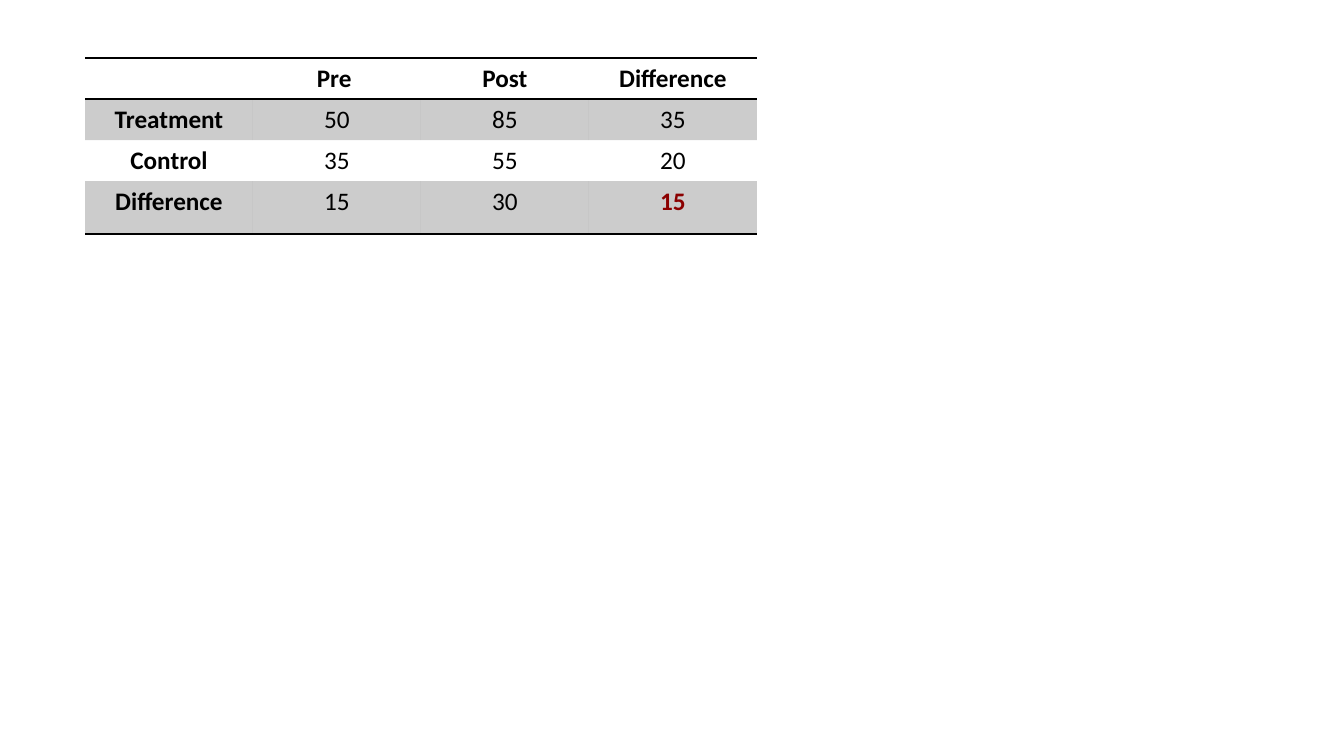
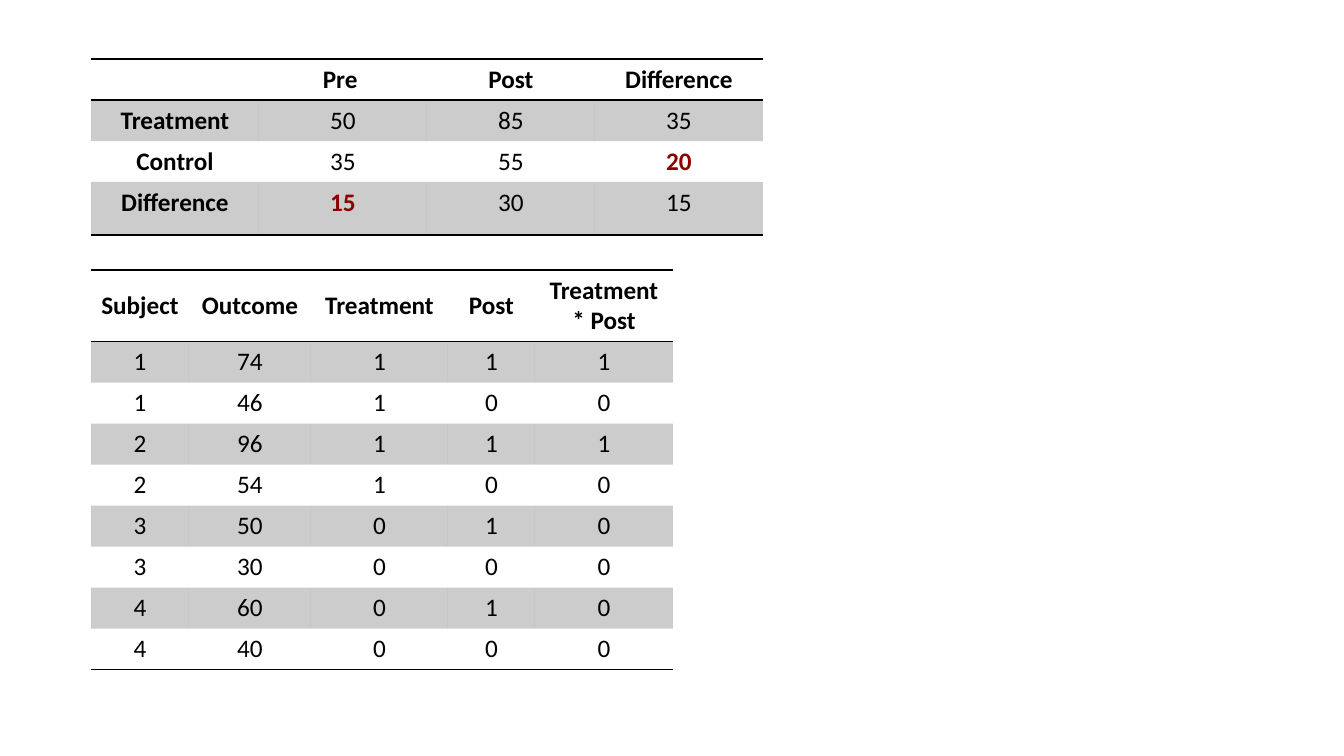
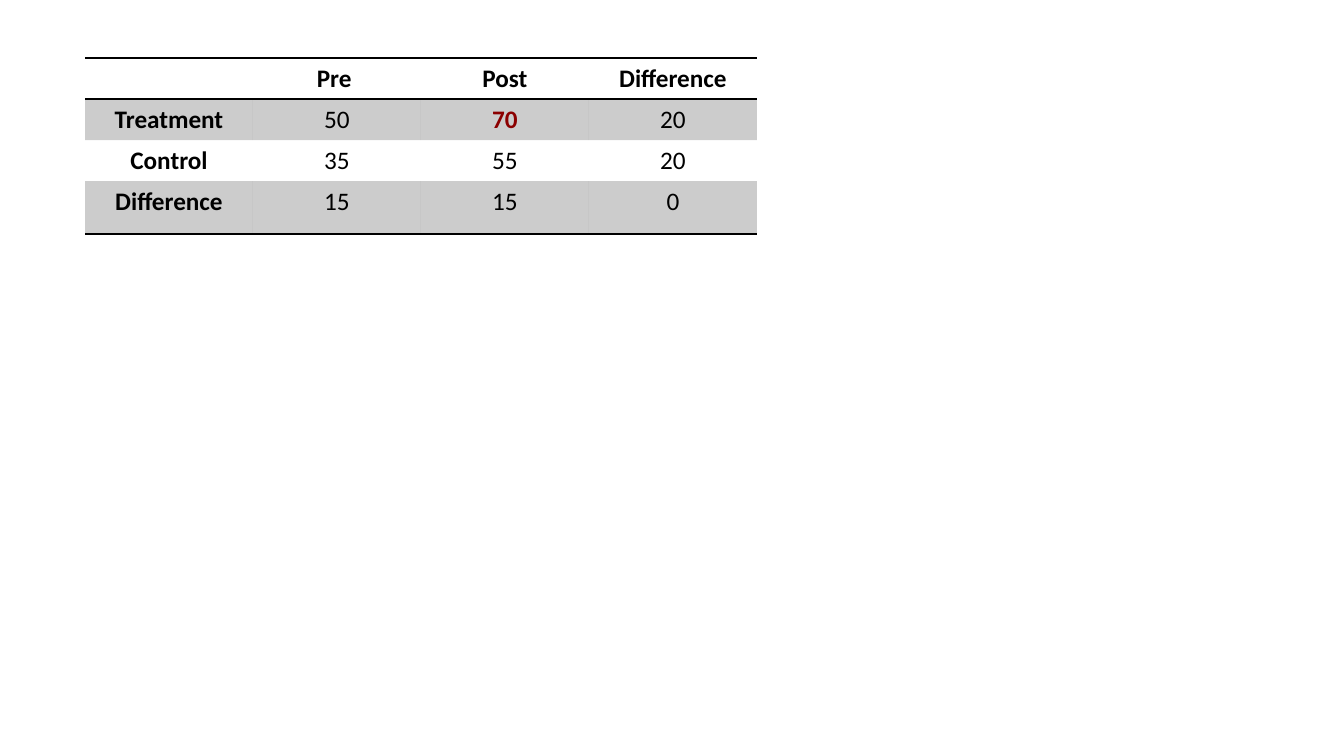
import lxml.etree
import pptx
import pptx.dml.color
import pptx.enum.text
import pptx.oxml.ns
import pptx.util

SCALE = 914400 / 100.8
BLACK, ACCENT = "000000", "8B0000"
BAND_ALPHA = "20000"
NO_GRID_STYLE = "{2D5ABB26-0587-4C30-8999-92F81FD0307C}"
qn = pptx.oxml.ns.qn


def px(n):
    """Turn whole pixels into EMU."""
    return pptx.util.Emu(round(n * SCALE))


def rgb(value):
    """Turn a hex string into a colour."""
    return pptx.dml.color.RGBColor.from_string(value)


FONT = {"name": "Calibri", "size": pptx.util.Pt(18)}
FLAGS = {"first_row": False, "horz_banding": False}

pre_post = {"cols": [168] * 4, "rows": [41, 41, 41, 53], "label_cols": 1,
            "header_anchor": pptx.enum.text.MSO_ANCHOR.TOP}
header = ["", "Pre ", "Post", "Difference"]
control = ["Control", 35, 55, 20]
effect_cells = [header, ["Treatment", 50, 85, 35], control,
                ["Difference", 15, 30, 15]]
no_effect_cells = [header, ["Treatment", 50, 70, 20], control,
                   ["Difference", 15, 15, 0]]

subjects = {
    "at": (91, 270), "cols": [98, 122, 137, 87, 138], "rows": [71] + [41] * 8,
    "label_cols": 0, "header_anchor": pptx.enum.text.MSO_ANCHOR.MIDDLE,
    "accents": [],
    "cells": [
        ["Subject", "Outcome", "Treatment", "Post", "Treatment * Post"],
        [1, 74, 1, 1, 1],
        [1, 46, 1, 0, 0],
        [2, 96, 1, 1, 1],
        [2, 54, 1, 0, 0],
        [3, 50, 0, 1, 0],
        [3, 30, 0, 0, 0],
        [4, 60, 0, 1, 0],
        [4, 40, 0, 0, 0],
    ],
}

# Accents are (row, column) pairs.
slides = [
    [{**pre_post, "at": (85, 58), "cells": effect_cells, "accents": [(3, 3)]}],
    [subjects,
     {**pre_post, "at": (91, 59), "cells": effect_cells,
      "accents": [(2, 3), (3, 1)]}],
    [{**pre_post, "at": (85, 58), "cells": no_effect_cells,
      "accents": [(1, 2)]}],
]

prs = pptx.Presentation()
prs.slide_width, prs.slide_height = px(1344), px(756)

for tables in slides:
    s = prs.slides.add_slide(prs.slide_layouts[6])
    for t in tables:
        cols, rows = t["cols"], t["rows"]
        last = len(rows) - 1
        left, top = t["at"]
        table = s.shapes.add_table(len(rows), len(cols), px(left), px(top),
                                   px(sum(cols)), px(sum(rows))).table
        for name, value in FLAGS.items():
            setattr(table, name, value)
        table._tbl.tblPr.find(qn("a:tableStyleId")).text = NO_GRID_STYLE
        for column, width in zip(table.columns, cols):
            column.width = px(width)
        for row, height in zip(table.rows, rows):
            row.height = px(height)

        for i, values in enumerate(t["cells"]):
            edges = {0: ["a:lnT", "a:lnB"], last: ["a:lnB"]}.get(i, [])
            for j, value in enumerate(values):
                cell = table.cell(i, j)
                if i == 0:
                    cell.vertical_anchor = t["header_anchor"]
                tcPr = cell._tc.get_or_add_tcPr()
                for edge in edges:
                    ln = lxml.etree.SubElement(tcPr, qn(edge), w="12700")
                    fill = lxml.etree.SubElement(ln, qn("a:solidFill"))
                    lxml.etree.SubElement(fill, qn("a:srgbClr"), val=BLACK)
                if i % 2:
                    cell.fill.solid()
                    cell.fill.fore_color.rgb = rgb(BLACK)
                    color = tcPr.find(qn("a:solidFill")).find(qn("a:srgbClr"))
                    lxml.etree.SubElement(color, qn("a:alpha"), val=BAND_ALPHA)
                else:
                    cell.fill.background()

                if value == "":
                    continue
                p = cell.text_frame.paragraphs[0]
                p.alignment = pptx.enum.text.PP_ALIGN.CENTER
                r = p.add_run()
                r.text = str(value)
                accent = (i, j) in t["accents"]
                bold = i == 0 or j < t["label_cols"] or accent
                for name, setting in {**FONT, "bold": bold}.items():
                    setattr(r.font, name, setting)
                r.font.color.rgb = rgb(ACCENT if accent else BLACK)

prs.save("out.pptx")
